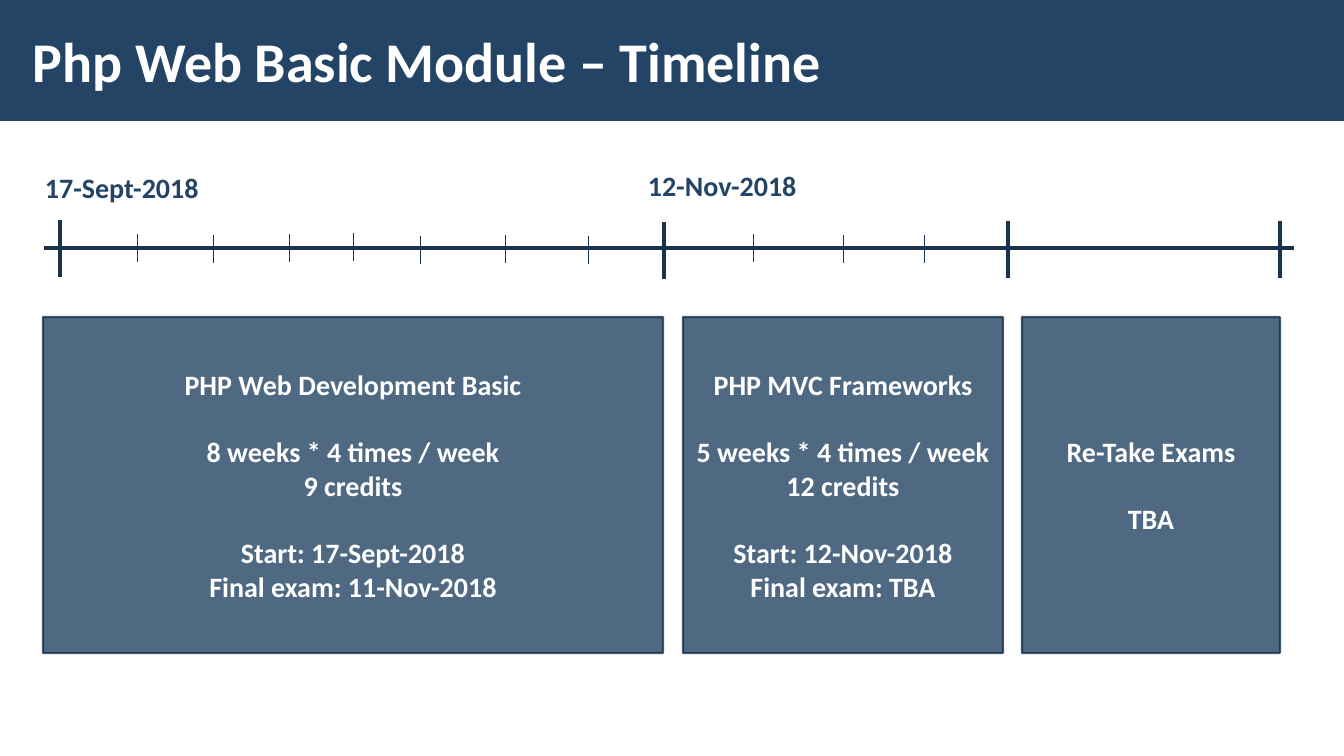
from dataclasses import dataclass

from lxml.etree import SubElement
from pptx import Presentation
from pptx.dml.color import RGBColor as Color
from pptx.enum.shapes import MSO_CONNECTOR as Connector, MSO_SHAPE as Shape
from pptx.enum.text import MSO_ANCHOR as Anchor, PP_ALIGN as Align
from pptx.oxml.ns import qn
from pptx.util import Emu, Pt

EMU_PER_PX = 914400 / 100.8


@dataclass(frozen=True)
class Theme:
    font: str = "Calibri"
    navy: Color = Color(0x23, 0x44, 0x65)
    ink: Color = Color(0x1A, 0x33, 0x4C)
    white: Color = Color(0xFF, 0xFF, 0xFF)
    title_size: int = 40
    body_size: int = 20
    group_gap: int = 24
    heavy_line: float = 2.25
    light_line: float = 0.5
    card_line: float = 1.5
    card_opacity: int = 80


THEME = Theme()

# Tick positions: x and top, relative to the timeline box
MAJOR_TICKS = [(16, 0), (620, 2), (964, 1), (1236, 1)]
MINOR_TICKS = [(93, 14), (169, 15), (245, 14), (309, 13), (376, 16),
               (461, 15), (544, 16), (709, 14), (799, 15), (880, 15)]
MAJOR_LENGTH, MINOR_LENGTH = 57, 28
AXIS_DROP = 28

# Dates: text, then left, top and width relative to the timeline box
DATES = [("17-Sept-2018", -9, -54, 176), ("12-Nov-2018", 594, -56, 170)]
DATE_HEIGHT = 44

# Cards: left and width relative to the card row, then groups of lines
CARDS = [
    (0, 620, [["PHP Web Development Basic"],
              ["8 weeks * 4 times / week", "9 credits"],
              ["Start: 17-Sept-2018", "Final exam: 11-Nov-2018"]]),
    (640, 320, [["PHP MVC Frameworks"],
                ["5 weeks * 4 times / week", "12 credits"],
                ["Start: 12-Nov-2018", "Final exam: TBA"]]),
    (979, 258, [["Re-Take Exams"], ["TBA"]]),
]


def px(*lengths):
    return [Emu(round(length * EMU_PER_PX)) for length in lengths]


def style_text(frame, size, color):
    for para in frame.paragraphs:
        for span in para.runs:
            span.font.name = THEME.font
            span.font.size = Pt(size)
            span.font.bold = True
            span.font.color.rgb = color


def add_label(page, text, box, size, color, wrap):
    frame = page.shapes.add_textbox(*px(*box)).text_frame
    frame.text = text
    frame.word_wrap = wrap
    style_text(frame, size, color)
    return frame


def add_block(page, box):
    block = page.shapes.add_shape(Shape.RECTANGLE, *px(*box))
    block.shadow.inherit = False
    block.fill.solid()
    block.fill.fore_color.rgb = THEME.navy
    return block


def add_rule(page, x1, y1, x2, y2, weight):
    rule = page.shapes.add_connector(Connector.STRAIGHT, *px(x1, y1, x2, y2))
    rule.line.color.rgb = THEME.ink
    rule.line.width = Pt(weight)
    SubElement(rule._element.spPr, qn("a:effectLst"))


def add_header(page, box):
    left, top, width, height = box
    add_block(page, box).line.fill.background()
    frame = add_label(page, "Php Web Basic Module – Timeline",
                      (left + 21, top + 11, 1047, height - 23),
                      THEME.title_size, THEME.white, True)
    frame.vertical_anchor = Anchor.MIDDLE
    frame.margin_left, frame.margin_right = px(12, 12)
    frame.margin_top, frame.margin_bottom = px(4, 4)


def add_timeline(page, box):
    left, top, width, _ = box
    # Axis
    axis_y = top + AXIS_DROP
    add_rule(page, left, axis_y, left + width, axis_y, THEME.heavy_line)
    # Ticks
    for ticks, length, weight in (
            (MAJOR_TICKS, MAJOR_LENGTH, THEME.heavy_line),
            (MINOR_TICKS, MINOR_LENGTH, THEME.light_line)):
        for x, y in ticks:
            add_rule(page, left + x, top + y, left + x, top + y + length, weight)
    # Dates
    for text, x, y, date_width in DATES:
        add_label(page, text, (left + x, top + y, date_width, DATE_HEIGHT),
                  THEME.body_size, THEME.navy, False)


def add_card(page, box, groups):
    card = add_block(page, box)
    card.line.color.rgb = THEME.ink
    card.line.width = Pt(THEME.card_line)
    # Transparency of fill and outline
    for color in card._element.spPr.iter(qn("a:srgbClr")):
        SubElement(color, qn("a:alpha"), val=str(THEME.card_opacity * 1000))
    # Lines, with a gap above each later group
    frame = card.text_frame
    frame.word_wrap = True
    frame.vertical_anchor = Anchor.MIDDLE
    frame.text = "\n".join(line for group in groups for line in group)
    paras = iter(frame.paragraphs)
    for number, group in enumerate(groups):
        for position, _ in enumerate(group):
            para = next(paras)
            para.alignment = Align.CENTER
            if number and position == 0:
                para.space_before = Pt(THEME.group_gap)
    style_text(frame, THEME.body_size, THEME.white)


def add_cards(page, box):
    left, top, _, height = box
    for x, width, groups in CARDS:
        add_card(page, (left + x, top, width, height), groups)


def main():
    deck = Presentation()
    deck.slide_width, deck.slide_height = px(1344, 756)
    page = deck.slides.add_slide(deck.slide_layouts[6])
    add_header(page, (0, 0, 1344, 121))
    add_timeline(page, (44, 220, 1250, 57))
    add_cards(page, (43, 317, 1237, 336))
    deck.save("out.pptx")


if __name__ == "__main__":
    main()
